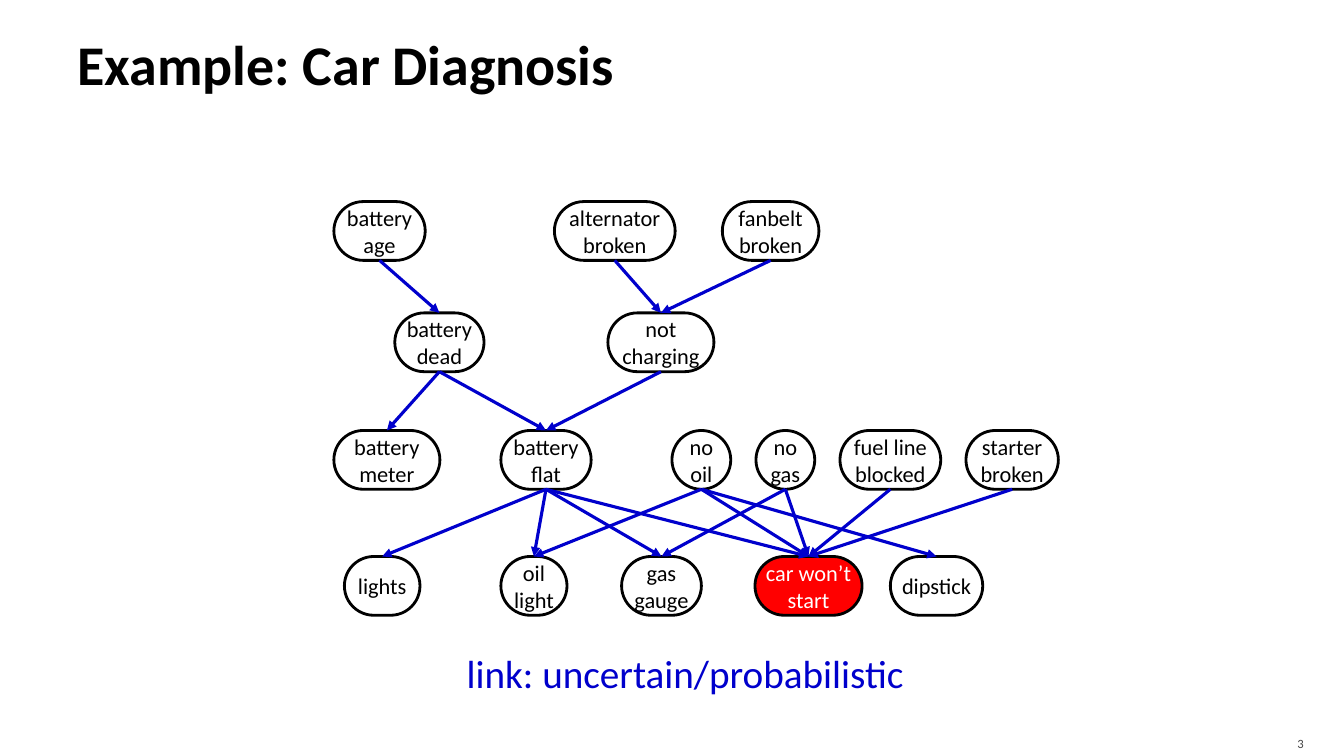
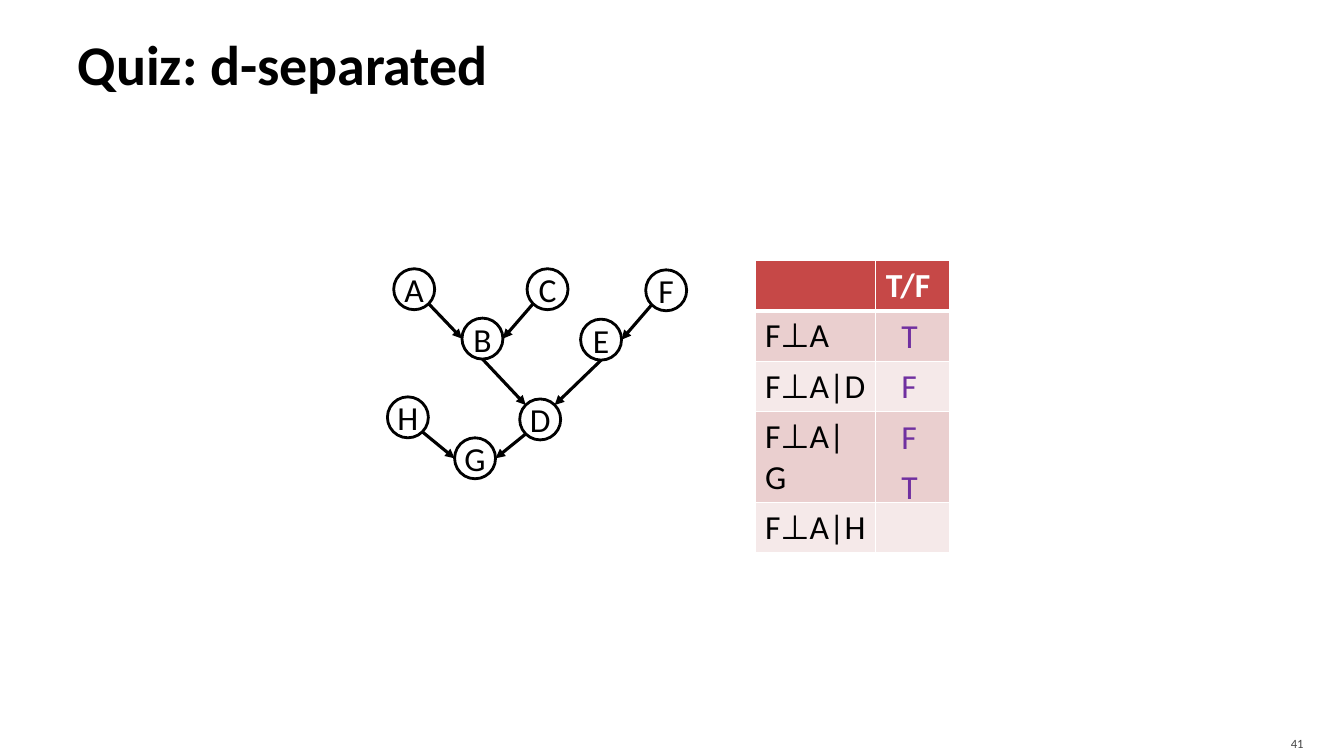
from math import sqrt

from lxml.etree import SubElement
from pptx import Presentation
from pptx.dml.color import RGBColor
from pptx.enum.shapes import MSO_CONNECTOR, MSO_SHAPE
from pptx.enum.text import MSO_ANCHOR, MSO_AUTO_SIZE, PP_ALIGN
from pptx.oxml.ns import qn
from pptx.util import Pt

PX = 9525  # EMU in one px, 96 px to the inch
FONT = "Calibri"

BLACK = RGBColor(0x00, 0x00, 0x00)
WHITE = RGBColor(0xFF, 0xFF, 0xFF)
GREY = RGBColor(0x45, 0x45, 0x45)
RED = RGBColor(0xFF, 0x00, 0x00)
BLUE = RGBColor(0x00, 0x00, 0xCC)
PURPLE = RGBColor(0x70, 0x30, 0xA0)
HEADER_RED = RGBColor(0xC6, 0x48, 0x47)
BAND_DARK = RGBColor(0xEA, 0xCF, 0xCF)
BAND_LIGHT = RGBColor(0xF5, 0xE9, 0xE9)

TITLE_FRAME = {
    "margin_left": 10 * PX, "margin_top": 5 * PX,
    "margin_right": 5 * PX, "margin_bottom": 5 * PX,
    "vertical_anchor": MSO_ANCHOR.MIDDLE, "word_wrap": True,
    "auto_size": MSO_AUTO_SIZE.NONE,
}
NUMBER_FRAME = {
    "margin_top": 5 * PX, "margin_bottom": 0,
    "vertical_anchor": MSO_ANCHOR.MIDDLE, "word_wrap": True,
}
NODE_FRAME = {
    "margin_left": 0, "margin_top": 0, "margin_right": 0, "margin_bottom": 0,
    "vertical_anchor": MSO_ANCHOR.MIDDLE, "word_wrap": True,
}
LABEL_FRAME = {"word_wrap": False, "auto_size": MSO_AUTO_SIZE.SHAPE_TO_FIT_TEXT}

# Rows of the car network: top, then (text, left, width) of each node
CAR_NODE_HEIGHT = 56
CAR_ROWS = [
    (192, [("battery age", 318, 87), ("alternator broken", 528, 115),
           ("fanbelt broken", 688, 92)]),
    (298, [("battery dead", 376, 85), ("not charging", 579, 101)]),
    (410, [("battery meter", 318, 101), ("battery flat", 477, 86),
           ("no oil", 640, 56), ("no gas", 720, 56),
           ("fuel line blocked", 800, 96), ("starter broken", 920, 88)]),
    (530, [("lights", 328, 72), ("oil light", 477, 63), ("gas gauge", 592, 76),
           ("car won’t start", 719, 102), ("dipstick", 848, 88)]),
]
CAR_EFFECTS = {
    "battery age": ["battery dead"],
    "alternator broken": ["not charging"],
    "fanbelt broken": ["not charging"],
    "battery dead": ["battery meter", "battery flat"],
    "not charging": ["battery flat"],
    "battery flat": ["lights", "oil light", "gas gauge", "car won’t start"],
    "no oil": ["oil light", "car won’t start", "dipstick"],
    "no gas": ["gas gauge", "car won’t start"],
    "fuel line blocked": ["car won’t start"],
    "starter broken": ["car won’t start"],
}

CIRCLE = 39
QUIZ_NODES = {
    "A": (375, 256), "B": (440, 303), "C": (502, 256), "D": (495, 380),
    "E": (553, 304), "F": (615, 257), "G": (433, 417), "H": (369, 378),
}
# Directions from the centre of a circle to the end of an arrow
LEFT, RIGHT, DOWN = (-1, 0), (1, 0), (0, 1)
UP_LEFT, UP_RIGHT, DOWN_LEFT, DOWN_RIGHT = (-1, -1), (1, -1), (-1, 1), (1, 1)
QUIZ_EDGES = [
    ("A", DOWN_RIGHT, "B", LEFT), ("C", DOWN_LEFT, "B", RIGHT),
    ("F", DOWN_LEFT, "E", RIGHT), ("B", DOWN, "D", UP_LEFT),
    ("E", DOWN, "D", UP_RIGHT), ("H", DOWN_RIGHT, "G", LEFT),
    ("D", DOWN_LEFT, "G", RIGHT),
]
QUIZ_TABLE = [("", "T/F"), ("F⊥A", ""), ("F⊥A|D", ""), ("F⊥A|G", ""), ("F⊥A|H", "")]
QUIZ_ANSWERS = "TFFT"


def scaled(*lengths):
    return [round(length * PX) for length in lengths]


def set_values(target, values):
    for name, value in values.items():
        setattr(target, name, value)


def write(frame, text, size, color, layout, align=PP_ALIGN.LEFT, bold=False):
    """Fill a text frame with one formatted paragraph."""
    set_values(frame, layout)
    para = frame.paragraphs[0]
    para.alignment = align
    span = para.add_run()
    span.text = text
    set_values(span.font, {"name": FONT, "size": Pt(size), "bold": bold})
    span.font.color.rgb = color


def add_label(page, at, text, size, color, layout=LABEL_FRAME, align=PP_ALIGN.LEFT):
    box = page.shapes.add_textbox(*scaled(*at))
    write(box.text_frame, text, size, color, layout, align)


def add_page(deck, title, number):
    page = deck.slides.add_slide(deck.slide_layouts[5])
    heading = page.shapes.title
    places = ("left", "top", "width", "height")
    set_values(heading, dict(zip(places, scaled(64, 8, 1152, 104))))
    write(heading.text_frame, title, 40, BLACK, TITLE_FRAME, bold=True)
    add_label(page, (1148, 691, 103, 29), number, 9, GREY, NUMBER_FRAME, PP_ALIGN.RIGHT)
    return page


def add_node(page, kind, at, text, size, fill=None):
    node = page.shapes.add_shape(kind, *scaled(*at))
    node.shadow.inherit = False
    if fill is None:
        node.fill.background()
    else:
        node.fill.solid()
        node.fill.fore_color.rgb = fill
    node.line.color.rgb = BLACK
    node.line.width = Pt(2)
    color = BLACK if fill is None else WHITE
    write(node.text_frame, text, size, color, NODE_FRAME, PP_ALIGN.CENTER)
    return node


def add_arrow(page, color, start=(0, 0), end=(0, 0)):
    arrow = page.shapes.add_connector(MSO_CONNECTOR.STRAIGHT, *scaled(*start, *end))
    arrow.line.color.rgb = color
    arrow.line.width = Pt(2.25)
    SubElement(arrow.line._get_or_add_ln(), qn("a:tailEnd"), type="triangle")
    SubElement(arrow._element.spPr, qn("a:effectLst"))
    return arrow


def circle_point(name, direction):
    """Point on the rim of a quiz node, seen from its centre."""
    reach = CIRCLE / 2 / sqrt(sum(step * step for step in direction))
    return [corner + CIRCLE / 2 + reach * step
            for corner, step in zip(QUIZ_NODES[name], direction)]


def add_borders(cell, bottom_width):
    properties = cell._tc.get_or_add_tcPr()
    for side, width in (("L", 1), ("R", 1), ("T", 1), ("B", bottom_width)):
        edge = SubElement(properties, qn("a:ln" + side), w=str(Pt(width)))
        fill = SubElement(edge, qn("a:solidFill"))
        SubElement(fill, qn("a:srgbClr"), val=str(WHITE))


def add_quiz_table(page):
    widths, row_height = (115, 70), 40
    place = scaled(719, 248, sum(widths), row_height * len(QUIZ_TABLE))
    table = page.shapes.add_table(len(QUIZ_TABLE), len(widths), *place).table
    for column, width in zip(table.columns, widths):
        column.width = width * PX
    for row, texts in enumerate(QUIZ_TABLE):
        header = row == 0
        fill = HEADER_RED if header else (BAND_LIGHT, BAND_DARK)[row % 2]
        for column, text in enumerate(texts):
            cell = table.cell(row, column)
            add_borders(cell, 3 if header else 1)
            cell.fill.solid()
            cell.fill.fore_color.rgb = fill
            if text:
                write(cell.text_frame, text, 24, WHITE if header else BLACK, {}, bold=header)


def add_car_page(deck):
    page = add_page(deck, "Example: Car Diagnosis", "3")
    nodes = {}
    for top, row in CAR_ROWS:
        for text, left, width in row:
            fill = RED if text == "car won’t start" else None
            node = add_node(page, MSO_SHAPE.ROUNDED_RECTANGLE,
                            (left, top, width, CAR_NODE_HEIGHT), text, 16, fill)
            node.adjustments[0] = 0.5
            nodes[text] = node
    for cause, effects in CAR_EFFECTS.items():
        for effect in effects:
            arrow = add_arrow(page, BLUE)
            arrow.begin_connect(nodes[cause], 2)
            arrow.end_connect(nodes[effect], 0)
    add_label(page, (435, 614, 448, 54), "link: uncertain/probabilistic", 28, BLUE)


def add_quiz_page(deck):
    page = add_page(deck, "Quiz: d-separated", "41")
    add_quiz_table(page)
    for name, corner in QUIZ_NODES.items():
        add_node(page, MSO_SHAPE.OVAL, (*corner, CIRCLE, CIRCLE), name, 24)
    for source, leave, target, arrive in QUIZ_EDGES:
        add_arrow(page, BLACK, circle_point(source, leave), circle_point(target, arrive))
    for row, answer in enumerate(QUIZ_ANSWERS):
        add_label(page, (849, 295 + 48 * row, 36, 48), answer, 24, PURPLE)


def main():
    deck = Presentation()
    deck.slide_width, deck.slide_height = scaled(1280, 720)
    add_car_page(deck)
    add_quiz_page(deck)
    deck.save("out.pptx")


if __name__ == "__main__":
    main()
